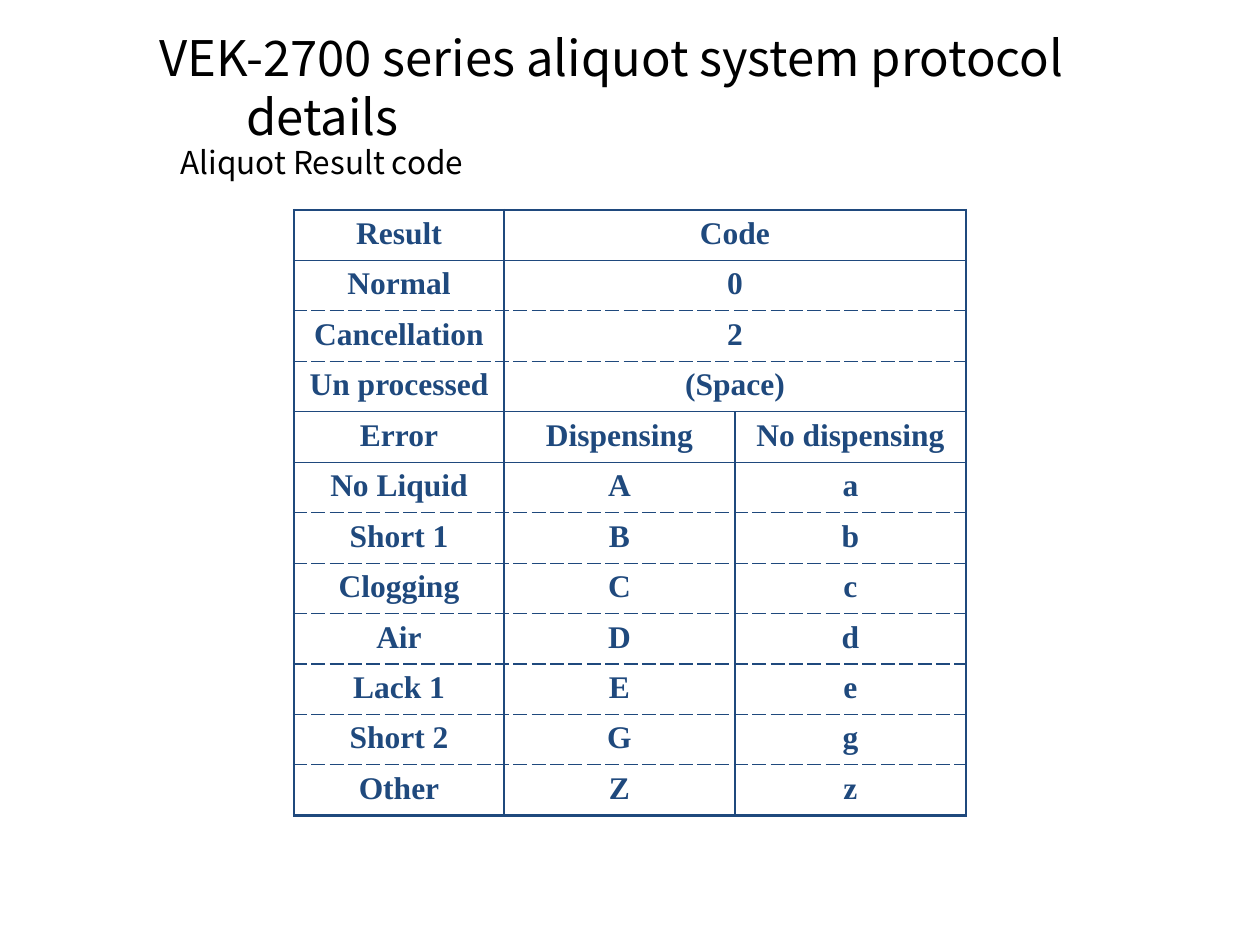
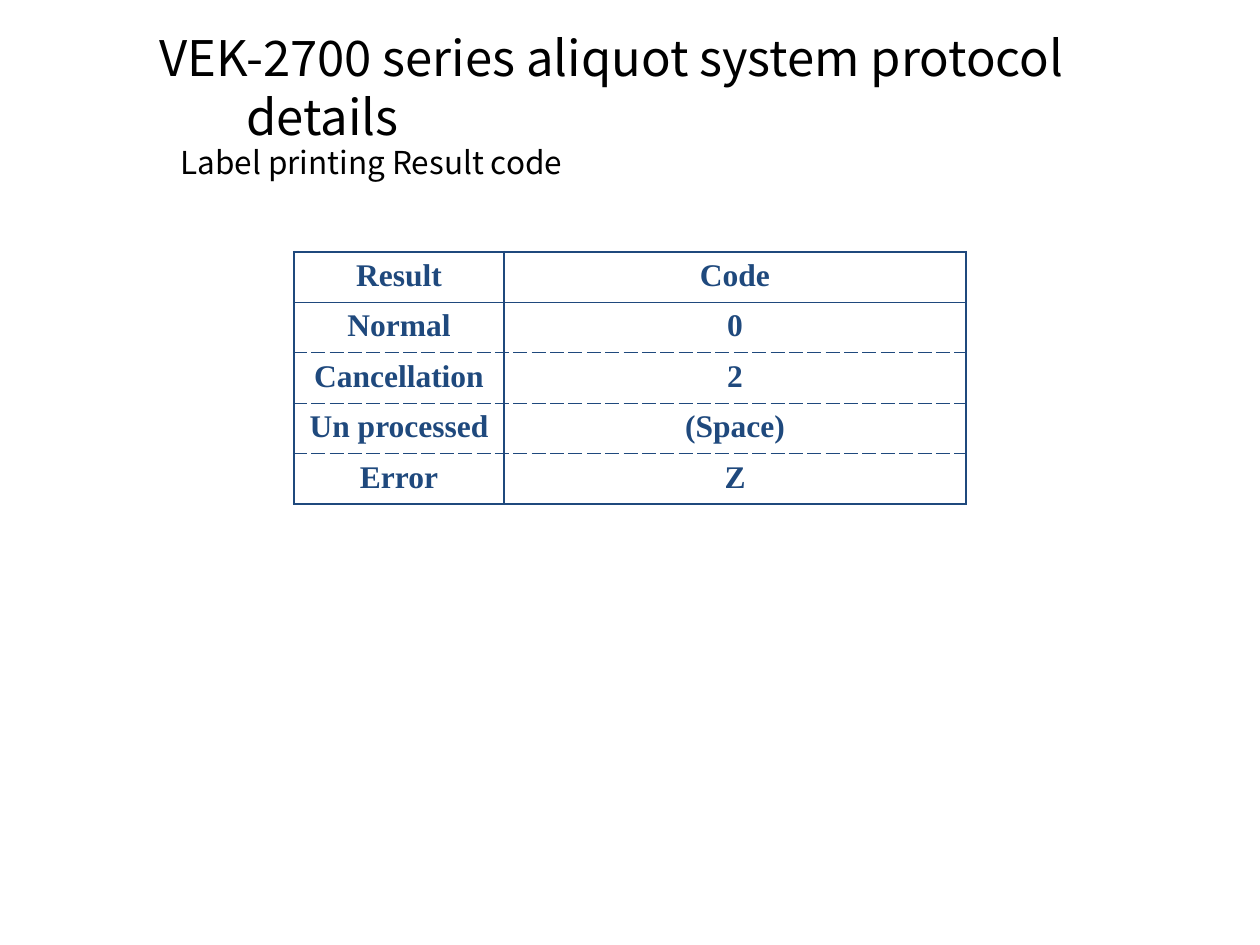
import pptx
import pptx.dml.color
import pptx.enum.text
import pptx.oxml
import pptx.oxml.ns
import pptx.util

PX = 7620  # EMU per px, 120 px to the inch
NAVY = "1F497D"
BLACK = "000000"
TITLE = "VEK-2700 series aliquot system protocol details"
TITLE_INDENT = 83
ROW_HEIGHT = 48
TABLE_LEFT = 280
OUTER, INNER = 1.47, 0.75

TITLE_FONT = {"name": "Noto Sans CJK KR", "size": pptx.util.Pt(28)}
SUBTITLE_FONT = {"name": "Noto Sans CJK KR", "size": pptx.util.Pt(18)}
CELL_FONT = {"name": "Times New Roman", "size": pptx.util.Pt(18), "bold": True}
TITLE_PARAGRAPH = {"space_before": pptx.util.Pt(7)}
CELL_PARAGRAPH = {"space_before": pptx.util.Pt(4.5),
                  "alignment": pptx.enum.text.PP_ALIGN.CENTER}

COMMON_ROWS = [("Result", "Code"), ("Normal", "0"), ("Cancellation", "2"),
               ("Un processed", "(Space)")]

# "solid" lists the rows with a solid line below; other inner lines are dashed
SLIDES = [
    {"subtitle": "Aliquot Result code", "subtitle_width": 440,
     "top": 200, "columns": [200, 220, 220], "solid": {0, 3, 4},
     "rows": COMMON_ROWS + [
         ("Error", "Dispensing", "No dispensing"), ("No Liquid", "A", "a"),
         ("Short 1", "B", "b"), ("Clogging", "C", "c"), ("Air", "D", "d"),
         ("Lack 1", "E", "e"), ("Short 2", "G", "g"), ("Other", "Z", "z")]},
    {"subtitle": "Label printing Result code", "subtitle_width": 520,
     "top": 240, "columns": [200, 440], "solid": {0},
     "rows": COMMON_ROWS + [("Error", "Z")]},
]


def write_text(frame, text, font_format, paragraph_format, color):
    """Fill the first paragraph of a text frame with one formatted run."""
    paragraph = frame.paragraphs[0]
    run = paragraph.add_run()
    run.text = text
    run.font.color.rgb = pptx.dml.color.RGBColor.from_string(color)
    for target, formats in ((run.font, font_format), (paragraph, paragraph_format)):
        for name, value in formats.items():
            setattr(target, name, value)
    return paragraph


def add_border(cell, side, width, dash):
    """Draw one side (L, R, T or B) of a table cell."""
    cell._tc.get_or_add_tcPr().append(pptx.oxml.parse_xml(
        f'<a:ln{side} {pptx.oxml.ns.nsdecls("a")} w="{pptx.util.Pt(width)}">'
        f'<a:solidFill><a:srgbClr val="{NAVY}"/></a:solidFill>'
        f'<a:prstDash val="{dash}"/></a:ln{side}>'))


presentation = pptx.Presentation()
presentation.slide_width = 1200 * PX
presentation.slide_height = 900 * PX

for content in SLIDES:
    slide = presentation.slides.add_slide(presentation.slide_layouts[6])

    # Title with a hanging indent
    title = slide.shapes.add_textbox(140 * PX, 20 * PX, 970 * PX, 80 * PX)
    title.text_frame.word_wrap = True
    paragraph = write_text(title.text_frame, TITLE, TITLE_FONT, TITLE_PARAGRAPH, BLACK)
    properties = paragraph._p.get_or_add_pPr()
    properties.set("marL", str(TITLE_INDENT * PX))
    properties.set("indent", str(-TITLE_INDENT * PX))

    # Code table
    rows, columns = content["rows"], content["columns"]
    table = slide.shapes.add_table(
        len(rows), len(columns), TABLE_LEFT * PX, content["top"] * PX,
        sum(columns) * PX, len(rows) * ROW_HEIGHT * PX).table
    table.first_row = False
    table.horz_banding = False
    for column, width in zip(table.columns, columns):
        column.width = width * PX

    last_row = len(rows) - 1
    for row_index, values in enumerate(rows):
        table.rows[row_index].height = ROW_HEIGHT * PX
        last_value = len(values) - 1
        if len(values) < len(columns):
            table.cell(row_index, last_value).merge(
                table.cell(row_index, len(columns) - 1))
        above, below = ("solid" if index in content["solid"] | {-1, last_row} else "dash"
                        for index in (row_index - 1, row_index))
        for column_index, value in enumerate(values):
            cell = table.cell(row_index, column_index)
            write_text(cell.text_frame, value, CELL_FONT, CELL_PARAGRAPH, NAVY)
            for side, is_outer, dash in (
                    ("L", column_index == 0, "solid"),
                    ("R", column_index == last_value, "solid"),
                    ("T", row_index == 0, above),
                    ("B", row_index == last_row, below)):
                add_border(cell, side, OUTER if is_outer else INNER, dash)
        for cell in table.rows[row_index].cells:
            cell.fill.background()

    # Subtitle
    subtitle = slide.shapes.add_textbox(
        160 * PX, 130 * PX, content["subtitle_width"] * PX, 48 * PX)
    subtitle.text_frame.word_wrap = True
    subtitle.text_frame.auto_size = pptx.enum.text.MSO_AUTO_SIZE.SHAPE_TO_FIT_TEXT
    write_text(subtitle.text_frame, content["subtitle"], SUBTITLE_FONT, {}, BLACK)

presentation.save("out.pptx")
